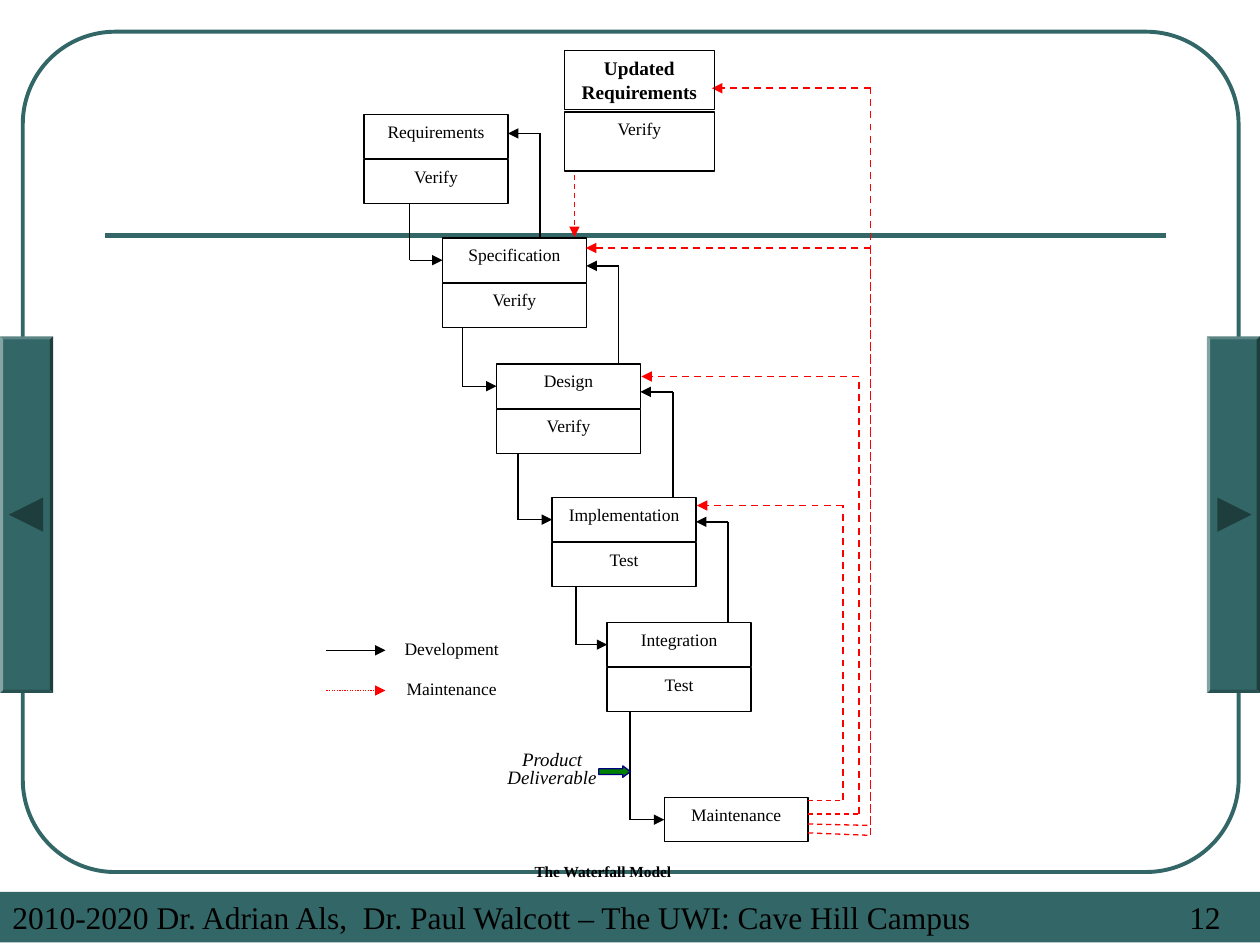
from typing import NamedTuple, Optional

from lxml import etree
from pptx import Presentation
from pptx.dml.color import RGBColor
from pptx.enum.dml import MSO_LINE
from pptx.enum.shapes import MSO_CONNECTOR, MSO_SHAPE
from pptx.enum.text import MSO_ANCHOR, PP_ALIGN
from pptx.oxml.ns import qn
from pptx.util import Cm, Pt

RECT = MSO_SHAPE.RECTANGLE
DASH, DOT = MSO_LINE.DASH, MSO_LINE.ROUND_DOT
LEFT, CENTER = PP_ALIGN.LEFT, PP_ALIGN.CENTER
LEFT_SIDE = 1

TEAL = RGBColor(0x33, 0x66, 0x66)
DARK_TEAL = RGBColor(0x1E, 0x3D, 0x3D)
BLACK = RGBColor(0, 0, 0)
RED = RGBColor(0xFF, 0, 0)
GREEN = RGBColor(0, 0x80, 0)
NAVY = RGBColor(0, 0, 0x80)

BOX_W, BOX_H, BOX_PITCH = 2.9, 0.89, 0.91
STAGE_H = BOX_PITCH + BOX_H
FEEDBACK_GAP = 0.65


class Stage(NamedTuple):
    name: str
    check: Optional[str]
    x: float
    y: float
    drop_x: float = 0  # where the line to the next stage starts
    back_y: float = 0  # where the feedback arrow arrives


class Change(NamedTuple):
    """Maintenance route: out of the last box, up a riser, left to a target."""
    exit_y: float
    riser_x: float
    riser_y: float
    target_x: float
    target_y: float


class Legend(NamedTuple):
    label: str
    y: float
    color: RGBColor
    dash: Optional[int]


STAGES = [
    Stage("Requirements", "Verify", 7.34, 2.31, 8.26, 2.69),
    Stage("Specification", "Verify", 8.92, 4.8, 9.32, 5.36),
    Stage("Design", "Verify", 10.01, 7.34, 10.44, 7.9),
    Stage("Implementation", "Test", 11.13, 10.03, 11.61, 10.52),
    Stage("Integration", "Test", 12.24, 12.55, 12.7),
    Stage("Maintenance", None, 13.39, 16.08),
]
CHANGES = [
    Change(16.13, 16.99, 16.13, 14.05, 10.19),
    Change(16.41, 17.32, 16.41, 12.93, 7.59),
    Change(16.61, 17.55, 16.64, 11.81, 5),
    Change(16.79, 17.55, 16.84, 14.35, 1.78),
]
LEGENDS = [
    Legend("Development", 13.11, BLACK, None),
    Legend("Maintenance", 13.92, RED, DOT),
]

prs = Presentation()
prs.slide_width, prs.slide_height = Cm(25.4), Cm(19.05)
shapes = prs.slides.add_slide(prs.slide_layouts[6]).shapes


def add_shape(kind: int, x: float, y: float, w: float, h: float,
              fill: Optional[RGBColor] = None,
              line: Optional[RGBColor] = None, width: float = 0.75):
    sp = shapes.add_shape(kind, Cm(x), Cm(y), Cm(w), Cm(h))
    sp.shadow.inherit = False
    if fill is None:
        sp.fill.background()
    else:
        sp.fill.solid()
        sp.fill.fore_color.rgb = fill
    if line is None:
        sp.line.fill.background()
    else:
        sp.line.color.rgb = line
        sp.line.width = Pt(width)
    return sp


def write(sp, lines: list[str], size: float = 10, bold: bool = False,
          italic: bool = False, align: int = CENTER, spacing: float = 1) -> None:
    tf = sp.text_frame
    tf.word_wrap = True
    tf.vertical_anchor = MSO_ANCHOR.TOP
    for i, line in enumerate(lines):
        p = tf.paragraphs[0] if i == 0 else tf.add_paragraph()
        p.text = line
        p.alignment = align
        p.line_spacing = spacing
        p.font.name = "Times New Roman"
        p.font.size = Pt(size)
        p.font.bold = bold
        p.font.italic = italic
        p.font.color.rgb = BLACK


def add_box(x: float, y: float, text: str, w: float = BOX_W, h: float = BOX_H,
            size: float = 10, bold: bool = False):
    sp = add_shape(RECT, x, y, w, h, line=BLACK)
    write(sp, [text], size, bold)
    return sp


def add_label(x: float, y: float, w: float, h: float, lines: list[str], **style) -> None:
    write(shapes.add_textbox(Cm(x), Cm(y), Cm(w), Cm(h)), lines, **style)


def add_line(x1: float, y1: float, x2: float, y2: float, color: RGBColor = BLACK,
             width: float = 0.75, dash: Optional[int] = None, arrow: bool = False):
    cxn = shapes.add_connector(MSO_CONNECTOR.STRAIGHT, Cm(x1), Cm(y1), Cm(x2), Cm(y2))
    cxn.line.color.rgb = color
    cxn.line.width = Pt(width)
    if dash is not None:
        cxn.line.dash_style = dash
    if arrow:
        etree.SubElement(cxn.line._get_or_add_ln(), qn("a:tailEnd"), type="triangle")
    etree.SubElement(cxn._element.spPr, qn("a:effectLst"))
    return cxn


def add_side_button(x: float, icon_x: float, rotation: int) -> None:
    bevel = add_shape(MSO_SHAPE.BEVEL, x, 6.78, 1.07, 7.19, TEAL)
    bevel.adjustments[0] = 0.06
    icon = add_shape(MSO_SHAPE.ISOSCELES_TRIANGLE, icon_x, 10.03, 0.69, 0.69, DARK_TEAL)
    icon.rotation = rotation


def add_footer() -> None:
    bar = add_shape(RECT, 0, 17.98, 25.4, 1.02, TEAL)
    p = bar.text_frame.paragraphs[0]
    tabs = etree.SubElement(p._p.get_or_add_pPr(), qn("a:tabLst"))
    etree.SubElement(tabs, qn("a:tab"), pos=str(Cm(24.36)), algn="r")
    write(bar, ["2010-2020 Dr. Adrian Als,  Dr. Paul Walcott – "
                "The UWI: Cave Hill Campus\t12"], 18, align=LEFT)


frame = add_shape(MSO_SHAPE.ROUNDED_RECTANGLE, 0.46, 0.64, 24.51, 16.94, line=TEAL, width=2.25)
frame.adjustments[0] = 0.11
add_line(2.11, 4.75, 23.5, 4.75, TEAL, 3)
add_footer()
add_label(6.73, 17.32, 10.85, 0.69, ["The Waterfall Model"], size=8.8, bold=True, spacing=0.8)

stage_boxes = []
for stage in STAGES:
    stage_boxes.append(add_box(stage.x, stage.y, stage.name))
    if stage.check:
        add_box(stage.x, stage.y + BOX_PITCH, stage.check)

for stage, following, box in zip(STAGES, STAGES[1:], stage_boxes[1:]):
    entry_y = following.y + BOX_H / 2
    add_line(stage.drop_x, stage.y + STAGE_H, stage.drop_x, entry_y)
    entry = add_line(stage.drop_x, entry_y, following.x, entry_y, arrow=True)
    entry.end_connect(box, LEFT_SIDE)
    if stage.back_y:
        right = stage.x + BOX_W
        back_x = right + FEEDBACK_GAP
        add_line(back_x, following.y, back_x, stage.back_y, width=1)
        add_line(back_x, stage.back_y, right, stage.back_y, width=1, arrow=True)

exit_x = STAGES[-1].x + BOX_W
for c in CHANGES:
    add_line(c.riser_x, c.riser_y, c.riser_x, c.target_y, RED, 1, DASH)
    add_line(c.riser_x, c.target_y, c.target_x, c.target_y, RED, 1, DASH, arrow=True)
    add_line(exit_x, c.exit_y, c.riser_x, c.riser_y, RED, dash=DASH)

add_box(11.38, 1.02, "Updated Requirements", 3.02, 1.19, 11, True)
add_box(11.38, 2.26, "Verify", 3.02, 1.19)
add_line(11.58, 3.53, 11.58, 4.78, RED, dash=DASH, arrow=True)

add_label(9.68, 15.04, 2.9, 1.24, ["Product", "Deliverable"], size=10.8, italic=True, spacing=0.8)
pointer = add_shape(MSO_SHAPE.RIGHT_ARROW, 12.07, 15.44, 0.64, 0.23, GREEN, NAVY)
pointer.adjustments[1] = 0.67

for item in LEGENDS:
    add_line(6.58, item.y, 7.77, item.y, item.color, dash=item.dash, arrow=True)
    add_label(7.82, item.y - 0.37, 2.57, 0.74, [item.label])

add_side_button(24.33, 24.54, 90)
add_side_button(0, 0.18, 270)

prs.save("out.pptx")
